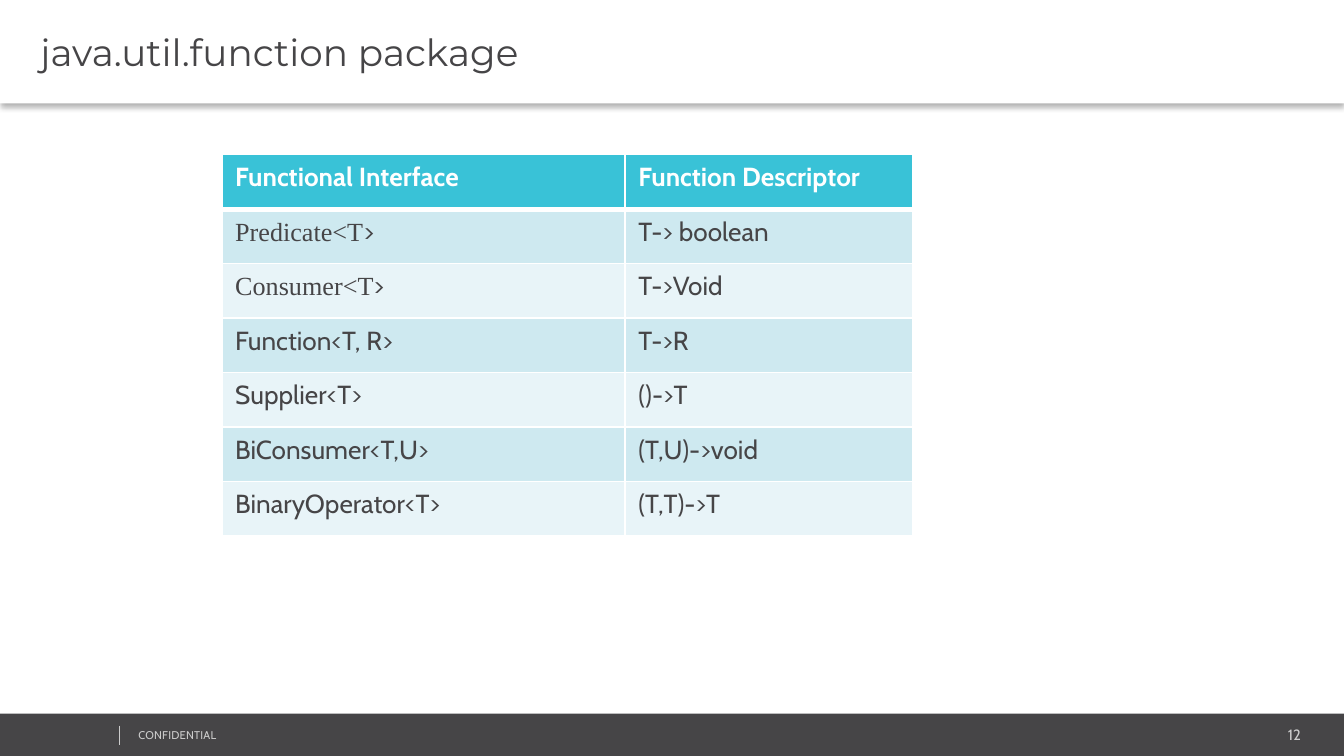
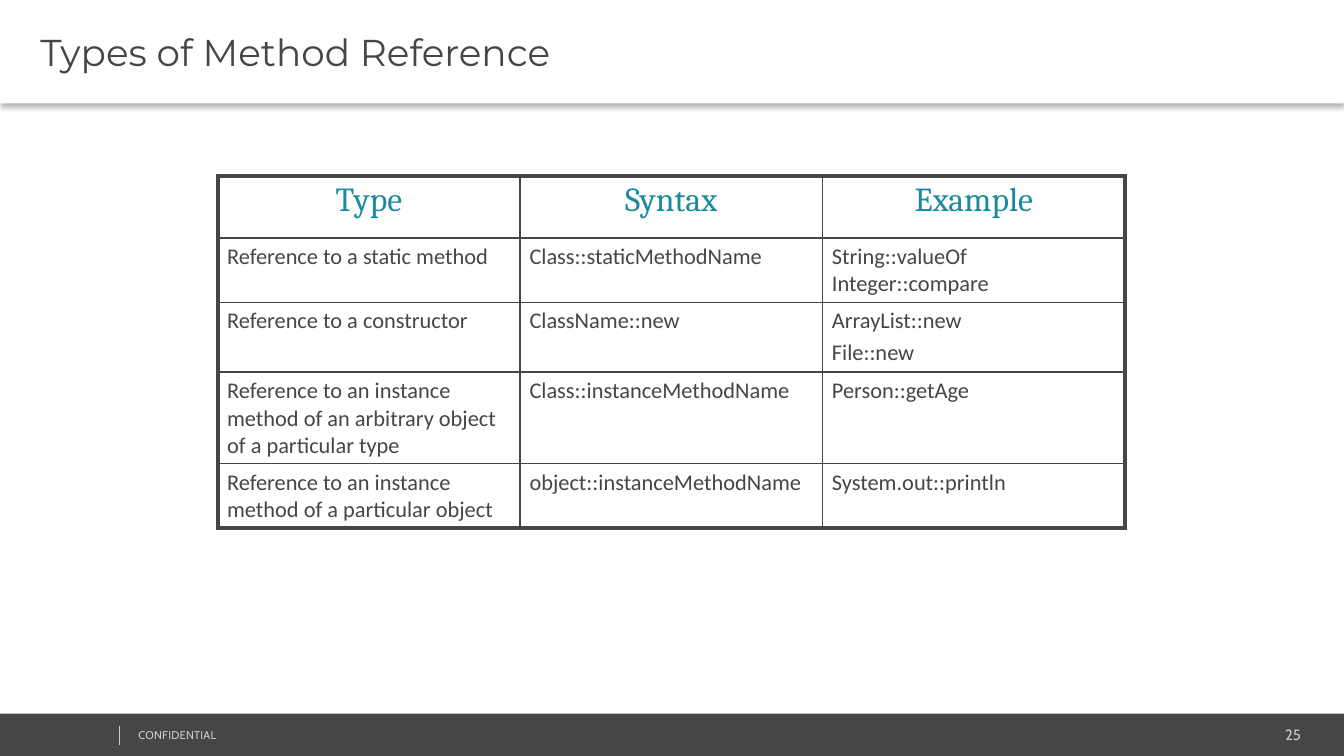
from dataclasses import dataclass

from lxml.etree import SubElement
from pptx import Presentation
from pptx.dml.color import RGBColor
from pptx.enum.shapes import MSO_CONNECTOR, MSO_SHAPE
from pptx.enum.text import MSO_ANCHOR, PP_ALIGN
from pptx.oxml import parse_xml
from pptx.oxml.ns import nsdecls, qn
from pptx.util import Inches, Pt

# Content: one tuple per table row, a line break starts a new paragraph
INTERFACES = {
    "number": "12",
    "title": "java.util.function package",
    "rows": [
        ("Functional Interface", "Function Descriptor"),
        ("Predicate<T>", "T-> boolean"),
        ("Consumer<T>", "T->Void"),
        ("Function<T, R>", "T->R"),
        ("Supplier<T>", "()->T"),
        ("BiConsumer<T,U>", "(T,U)->void"),
        ("BinaryOperator<T>", "(T,T)->T"),
    ],
}
SERIF_NAMES = ("Predicate<T>", "Consumer<T>")

REFERENCES = {
    "number": "25",
    "title": "Types of Method Reference",
    "rows": [
        ("Type", "Syntax", "Example"),
        ("Reference to a static method", "Class::staticMethodName",
         "String::valueOf Integer::compare"),
        ("Reference to a constructor", "ClassName::new", "ArrayList::new\nFile::new"),
        ("Reference to an instance method of an arbitrary object of a particular type",
         "Class::instanceMethodName", "Person::getAge"),
        ("Reference to an instance method of a particular object",
         "object::instanceMethodName", "System.out::println"),
    ],
}


@dataclass(frozen=True)
class Theme:
    white: str = "FFFFFF"
    dark: str = "464547"
    muted: str = "CCCCCC"
    header: str = "39C2D7"
    bands: tuple = ("CEE9F0", "E8F4F8")
    teal: str = "1B8A9F"
    body_font: str = "Cabin"
    title_font: str = "Montserrat"
    code_font: str = "Times New Roman"
    heading_font: str = "Cambria"
    reference_font: str = "Calibri"
    title_size: int = 20
    heading_size: int = 18
    interface_size: int = 14
    reference_size: int = 12
    number_size: int = 8
    footer_size: int = 6


THEME = Theme()
TIGHT = (0.07, 0.04, 0.07, 0.04)


def color(value):
    return RGBColor.from_string(value)


def set_margins(target, margins):
    sides = ("left", "top", "right", "bottom")
    for side, margin in zip(sides, margins):
        setattr(target, f"margin_{side}", Inches(margin))


def add_run(paragraph, text, font, size, shade, bold=False):
    run = paragraph.add_run()
    run.text = text
    run.font.name = font
    run.font.size = Pt(size)
    run.font.bold = bold
    run.font.color.rgb = color(shade)
    return run


def space_before(paragraph, percent=20):
    spacing = SubElement(paragraph._p.get_or_add_pPr(), qn("a:spcBef"))
    SubElement(spacing, qn("a:spcPct")).set("val", str(percent * 1000))


# Shared frame: title band and footer
def add_band(slide, left, top, width, height, fill):
    band = slide.shapes.add_shape(
        MSO_SHAPE.RECTANGLE, Inches(left), Inches(top), Inches(width), Inches(height))
    band.shadow.inherit = False
    band.fill.solid()
    band.fill.fore_color.rgb = color(fill)
    band.line.fill.background()
    return band


def add_footer_text(slide, box, text, size, alignment):
    shape = slide.shapes.add_textbox(*map(Inches, box))
    frame = shape.text_frame
    frame.word_wrap = True
    set_margins(frame, TIGHT)
    paragraph = frame.paragraphs[0]
    paragraph.alignment = alignment
    return add_run(paragraph, text, THEME.body_font, size, THEME.muted)


def add_footer(slide, number):
    add_band(slide, 0, 5.31, 10.01, 0.33, THEME.dark)
    add_footer_text(slide, (8.12, 5.36, 1.63, 0.21), number,
                    THEME.number_size, PP_ALIGN.RIGHT)
    label = add_footer_text(slide, (0.96, 5.38, 2.53, 0.18), "CONFIDENTIAL",
                            THEME.footer_size, PP_ALIGN.LEFT)
    label.font._element.set("spc", "10")
    divider = slide.shapes.add_connector(
        MSO_CONNECTOR.STRAIGHT, Inches(0.89), Inches(5.4), Inches(0.89), Inches(5.54))
    divider.line.color.rgb = color(THEME.muted)
    divider.line.width = Pt(0.25)
    SubElement(divider._element.spPr, qn("a:effectLst"))


def add_title(slide, title):
    band = add_band(slide, 0, 0, 10, 0.77, THEME.white)
    effects = band._element.spPr.find(qn("a:effectLst"))
    effects.append(parse_xml(
        f'<a:outerShdw {nsdecls("a")} blurRad="{Pt(3.1)}" dist="{Pt(2)}" dir="5400000" '
        'algn="t" rotWithShape="0"><a:srgbClr val="000000"><a:alpha val="30000"/>'
        '</a:srgbClr></a:outerShdw>'))
    frame = band.text_frame
    frame.word_wrap = True
    frame.vertical_anchor = MSO_ANCHOR.MIDDLE
    set_margins(frame, (0.3, 0.04, 0.07, 0.04))
    paragraph = frame.paragraphs[0]
    paragraph.alignment = PP_ALIGN.LEFT
    space_before(paragraph)
    add_run(paragraph, title, THEME.title_font, THEME.title_size, THEME.dark)


def start_slide(presentation, content):
    slide = presentation.slides.add_slide(presentation.slide_layouts[6])
    add_footer(slide, content["number"])
    add_title(slide, content["title"])
    return slide


# Tables
def add_table(slide, rows, left, top, widths, heights):
    frame = slide.shapes.add_table(
        len(rows), len(widths), Inches(left), Inches(top),
        Inches(sum(widths)), Inches(sum(heights)))
    table = frame.table
    table.first_row = table.horz_banding = False
    for column, width in zip(table.columns, widths):
        column.width = Inches(width)
    for row, height in zip(table.rows, heights):
        row.height = Inches(height)
    return table


def set_borders(cell, shade, left=1, right=1, top=1, bottom=1):
    properties = cell._tc.get_or_add_tcPr()
    edges = (("L", left), ("R", right), ("T", top), ("B", bottom))
    for index, (edge, width) in enumerate(edges):
        properties.insert(index, parse_xml(
            f'<a:ln{edge} {nsdecls("a")} w="{Pt(width)}"><a:solidFill>'
            f'<a:srgbClr val="{shade}"/></a:solidFill></a:ln{edge}>'))


def add_interface_table(slide, rows):
    heights = [2.84 / len(rows)] * len(rows)
    table = add_table(slide, rows, 1.65, 1.15, (3, 2.14), heights)
    for row_index, row in enumerate(rows):
        is_header = row_index == 0
        fill = THEME.header if is_header else THEME.bands[(row_index - 1) % 2]
        shade = THEME.white if is_header else THEME.dark
        for column_index, text in enumerate(row):
            cell = table.cell(row_index, column_index)
            cell.fill.solid()
            cell.fill.fore_color.rgb = color(fill)
            set_borders(cell, THEME.white, top=3 if row_index == 1 else 1,
                        bottom=3 if is_header else 1)
            paragraph = cell.text_frame.paragraphs[0]
            paragraph.alignment = PP_ALIGN.JUSTIFY
            runs = [(text, THEME.body_font)]
            if text in SERIF_NAMES:
                runs = [(text[:-1], THEME.code_font), (text[-1], THEME.body_font)]
            for part, font in runs:
                add_run(paragraph, part, font, THEME.interface_size, shade, is_header)


def add_reference_table(slide, rows):
    table = add_table(slide, rows, 1.62, 1.31, [2.25] * 3,
                      (0.46, 0.47, 0.52, 0.68, 0.47))
    heading = (THEME.heading_font, THEME.heading_size, THEME.teal)
    body = (THEME.reference_font, THEME.reference_size, THEME.dark)
    last_row, last_column = len(rows) - 1, len(rows[0]) - 1

    def edge_width(is_outer):
        return 2.25 if is_outer else 1

    for row_index, row in enumerate(rows):
        is_header = row_index == 0
        for column_index, text in enumerate(row):
            cell = table.cell(row_index, column_index)
            cell.fill.background()
            set_margins(cell, TIGHT)
            set_borders(cell, THEME.dark,
                        left=edge_width(column_index == 0),
                        right=edge_width(column_index == last_column),
                        top=edge_width(is_header),
                        bottom=edge_width(row_index == last_row))
            frame = cell.text_frame
            for line_index, line in enumerate(text.split("\n")):
                paragraph = frame.add_paragraph() if line_index else frame.paragraphs[0]
                paragraph.alignment = PP_ALIGN.CENTER if is_header else PP_ALIGN.LEFT
                space_before(paragraph)
                add_run(paragraph, line, *(heading if is_header else body))


def main():
    presentation = Presentation()
    presentation.slide_width = Inches(10)
    presentation.slide_height = presentation.slide_width * 9 // 16
    add_interface_table(start_slide(presentation, INTERFACES), INTERFACES["rows"])
    add_reference_table(start_slide(presentation, REFERENCES), REFERENCES["rows"])
    presentation.save("out.pptx")


if __name__ == "__main__":
    main()
